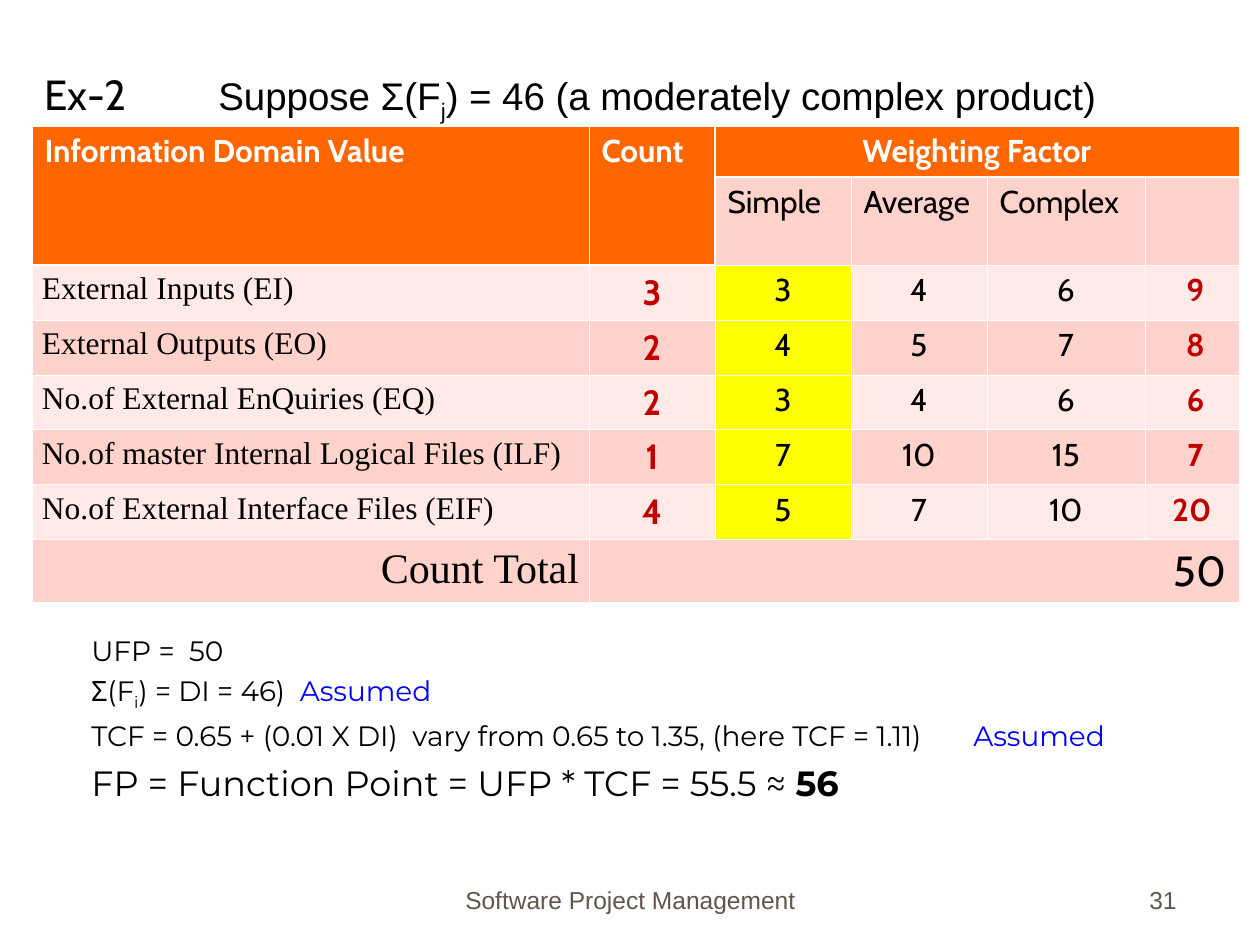
"""Build a slide that works out function points from a weighted count table."""
from lxml import etree
from pptx import Presentation
from pptx import util as u
from pptx.dml.color import RGBColor
from pptx.enum import text
from pptx.oxml.ns import qn

HEX = {"black": "000000", "white": "FFFFFF", "head": "FF6600", "dark": "FFD3CB",
       "light": "FFEAE7", "pick": "FFFF00", "red": "C00000", "blue": "0101FF",
       "foot": "5E574E"}
LEFT, MID, RIGHT = text.PP_ALIGN.LEFT, text.PP_ALIGN.CENTER, text.PP_ALIGN.RIGHT
SERIF = "Times New Roman"

COLS = [557, 126, 136, 136, 158, 94]
ROWS = [51, 88, 55, 55, 55, 55, 55, 63]
HEADS = [(0, "Information Domain Value", LEFT), (1, "Count", LEFT),
         (2, "Weighting Factor", MID)]
LEVELS = ["Simple", "Average", "Complex"]
COUNTS = [
    ("External Inputs (EI)", "3", "3", "4", "6", " 9"),
    ("External Outputs (EO)", "2", "4", "5", "7", " 8"),
    ("No.of External EnQuiries (EQ)", "2", "3", "4", "6", " 6"),
    ("No.of master Internal Logical Files (ILF)", "1", "7", "10", "15", " 7"),
    ("No.of External Interface Files (EIF)", "4", "5", "7", "10", "20"),
]
SPANS = [((0, 0), (1, 0)), ((0, 1), (1, 1)), ((0, 2), (0, 5)), ((7, 1), (7, 5))]

SUB, BLUE, BOLD = {"sub": True}, {"color": "blue"}, {"bold": True}
TITLE = [("Ex-2\t", {"size": 24, "face": "Cabin"}), ("Suppose Σ(F", {}), ("j", SUB),
         (") = 46 (a moderately complex product)", {})]
STEPS = [
    (16, 0, [("UFP =  50", {})]),
    (16, 4, [("Σ(F", {}), ("i", SUB), (") = DI = 46)  ", {}), ("Assumed", BLUE)]),
    (16, 4, [("TCF = 0.65 + (0.01 X DI)  vary from 0.65 to 1.35, (here TCF = 1.11)\t", {}),
             ("Assumed", BLUE)]),
    (20, 5, [("FP = Function Point = UFP * TCF = 55.5 ≈ ", {}), ("56", BOLD)]),
]
FOOT = [(431, 399, "Software Project Management", MID), (927, 262, "31", RIGHT)]


def px(n):
    return u.Emu(round(n * 914400 / 126))


def style(font, size=None, face=None, color=None, bold=None):
    if size:
        font.size = u.Pt(size)
    if face:
        font.name = face
    if color:
        font.color.rgb = RGBColor.from_string(HEX[color])
    if bold is not None:
        font.bold = bold


def write(para, runs, size, face, color="black", align=LEFT, gap=0, tab=None):
    para.alignment = align
    para.space_before = u.Pt(gap)
    if tab:
        tabs = etree.SubElement(para._p.get_or_add_pPr(), qn("a:tabLst"))
        etree.SubElement(tabs, qn("a:tab"), pos=str(px(tab)), algn="l")
    style(para.font, size, face, color)
    for words, look in runs:
        run = para.add_run()
        run.text = words
        style(run.font, **{k: v for k, v in look.items() if k != "sub"})
        if "sub" in look:
            run._r.get_or_add_rPr().set("baseline", "-25000")


def box(slide, x, y, w, h, anchor=text.MSO_ANCHOR.TOP):
    frame = slide.shapes.add_textbox(px(x), px(y), px(w), px(h)).text_frame
    frame.word_wrap = True
    frame.vertical_anchor = anchor
    return frame


def edge(cell, side, width):
    line = etree.SubElement(cell._tc.get_or_add_tcPr(), qn("a:ln" + side),
                            w=str(u.Pt(width)))
    fill = etree.SubElement(line, qn("a:solidFill"))
    etree.SubElement(fill, qn("a:srgbClr"), val=HEX["white"])


def shade(row, col):
    if row == 0 or (row == 1 and col < 2):
        return "head"
    if col == 2 and 1 < row < 7:
        return "pick"
    return "light" if row in (2, 4, 6) else "dark"


def thick(row, col):
    sides = {"T": row == 1 and col > 1 or row == 2 and col < 2,
             "B": row == 0 or row == 1 and col < 2,
             "L": row < 2 and col == 2, "R": row < 2 and col == 1}
    return {side: 1.47 if sides[side] else 0.45 for side in "LRTB"}


def fill_table(grid):
    def put(row, col, words, size=18, face="Cabin", color="black", align=MID, bold=False):
        cell = grid.cell(row, col)
        if face == SERIF:
            cell.margin_left = cell.margin_right = px(10)
        para = cell.text_frame.paragraphs[0]
        write(para, [(words, {})], size, face, color, align)
        para.font.bold = bold

    for col, words, align in HEADS:
        put(0, col, words, color="white", align=align, bold=True)
    for col, words in enumerate(LEVELS, 2):
        put(1, col, words, align=LEFT)
    for row, (name, count, *weights, total) in enumerate(COUNTS, 2):
        put(row, 0, name, face=SERIF, align=LEFT)
        put(row, 1, count, size=20, color="red", bold=True)
        for col, weight in enumerate(weights, 2):
            put(row, col, weight)
        put(row, 5, total, color="red", bold=True)
    put(7, 0, "Count Total", 24, SERIF, align=RIGHT)
    put(7, 1, "50", 24, align=RIGHT)


def add_table(slide):
    grid = slide.shapes.add_table(len(ROWS), len(COLS), px(32), px(126),
                                  px(sum(COLS)), px(sum(ROWS))).table
    grid.first_row = grid.horz_banding = False
    for col, width in zip(grid.columns, COLS):
        col.width = px(width)
    for row, height in zip(grid.rows, ROWS):
        row.height = px(height)
    for r in range(len(ROWS)):
        for c in range(len(COLS)):
            cell = grid.cell(r, c)
            for side, width in thick(r, c).items():
                edge(cell, side, width)
            cell.fill.solid()
            cell.fill.fore_color.rgb = RGBColor.from_string(HEX[shade(r, c)])
    for start, end in SPANS:
        grid.cell(*start).merge(grid.cell(*end))
    fill_table(grid)


def main():
    deck = Presentation()
    deck.slide_width, deck.slide_height = px(1260), px(945)
    slide = deck.slides.add_slide(deck.slide_layouts[6])
    write(box(slide, 32, 62, 1197, 63).paragraphs[0], TITLE, 22, "Arial", tab=174)
    steps = box(slide, 79, 627, 1150, 190)
    for i, (size, gap, runs) in enumerate(STEPS):
        para = steps.add_paragraph() if i else steps.paragraphs[0]
        write(para, runs, size, "Montserrat", gap=gap, tab=882)
    for x, width, words, align in FOOT:
        frame = box(slide, x, 858, width, 63, text.MSO_ANCHOR.BOTTOM)
        write(frame.paragraphs[0], [(words, {})], 14, "Arial", "foot", align)
    add_table(slide)
    deck.save("out.pptx")


if __name__ == "__main__":
    main()
